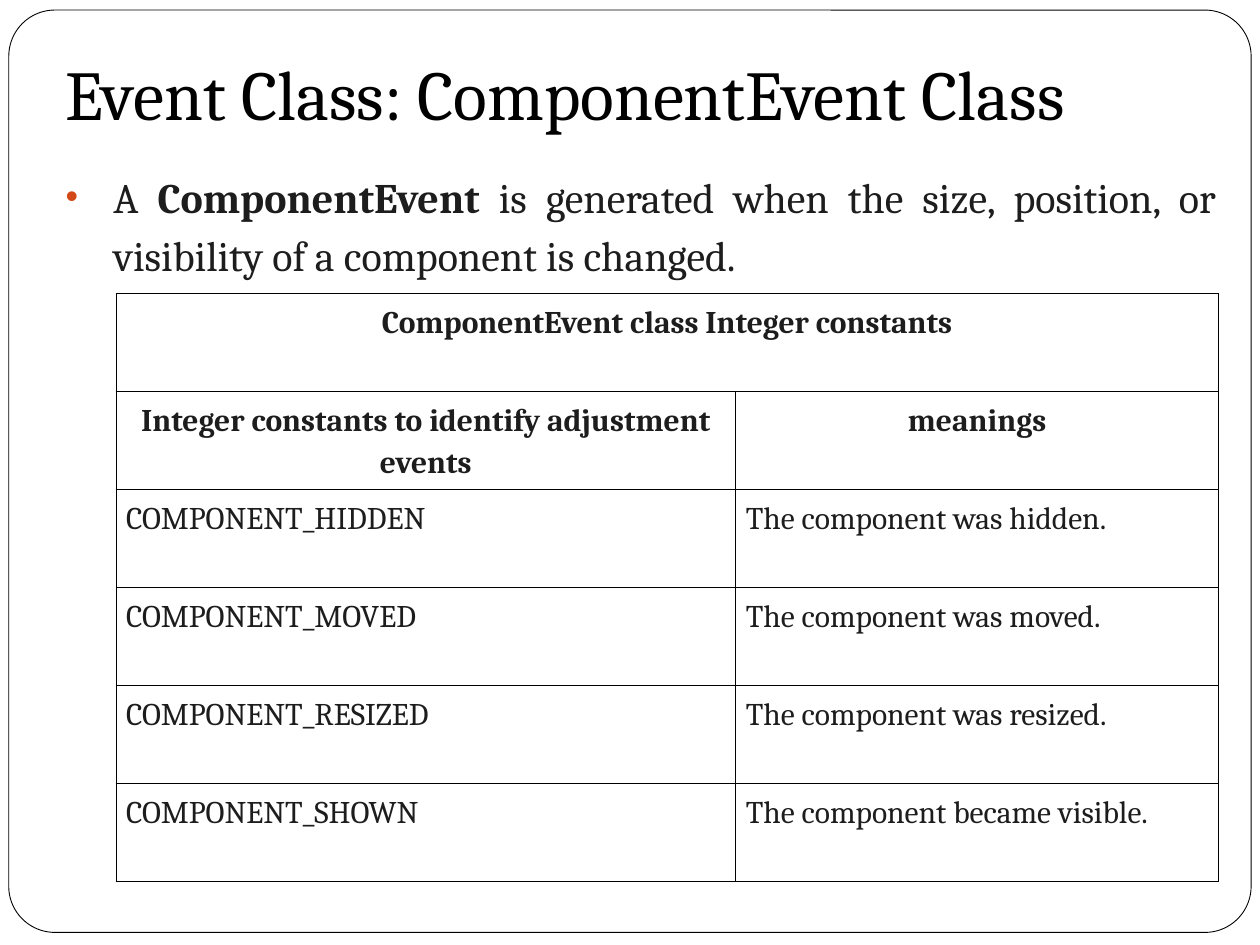
import pptx
import pptx.util
import pptx.dml.color
import pptx.enum.shapes
import pptx.enum.text
import pptx.oxml
import pptx.oxml.ns

Inches = pptx.util.Inches
Pt = pptx.util.Pt
Align = pptx.enum.text.PP_ALIGN
Anchor = pptx.enum.text.MSO_ANCHOR
RGB = pptx.dml.color.RGBColor.from_string
NS = pptx.oxml.ns.nsdecls("a")
COLORS = {"line": "000000", "title": "000000", "text": "1D1D1E",
          "bullet": "D34817", "paper": "FFFFFF"}


def write(frame, *runs, size=18, color="text", bold=(), align=Align.JUSTIFY,
          space=1.15, bullet=False):
    """Fill the first paragraph with runs; bold holds the indexes of bold runs."""
    para = frame.paragraphs[0]
    para.alignment = align
    para.line_spacing = space
    para.space_before = Pt(0)
    if bullet:
        props = para._p.get_or_add_pPr()
        props.set("marL", str(Inches(0.38)))
        props.set("indent", str(Inches(-0.38)))
        for xml in (f'<a:buClr {NS}><a:srgbClr val="{COLORS["bullet"]}"/></a:buClr>',
                    f'<a:buSzPct {NS} val="85000"/>',
                    f'<a:buFont {NS} typeface="Arial"/>',
                    f'<a:buChar {NS} char="•"/>'):
            props.append(pptx.oxml.parse_xml(xml))
    for i, text in enumerate(runs):
        run = para.add_run()
        run.text = text
        run.font.name = "Cambria"
        run.font.size = Pt(size)
        run.font.bold = i in bold
        run.font.color.rgb = RGB(COLORS[color])


deck = pptx.Presentation()
deck.slide_width = Inches(10)
deck.slide_height = Inches(7.5)
slide = deck.slides.add_slide(deck.slide_layouts[1])
title = slide.shapes.title
body = slide.placeholders[1]

# Rounded page border, behind everything else
border = slide.shapes.add_shape(
    pptx.enum.shapes.MSO_SHAPE.ROUNDED_RECTANGLE,
    Inches(0.07), Inches(0.08), Inches(9.86), Inches(7.32))
border.adjustments[0] = 0.05
border.shadow.inherit = False
border.fill.solid()
border.fill.fore_color.rgb = RGB(COLORS["paper"])
border.line.color.rgb = RGB(COLORS["line"])
border.line.width = Pt(0.5)
title.element.addprevious(border.element)

# Title and bullet
for shape, box, anchor in ((title, (0.42, 0.3, 9.25, 0.87), Anchor.BOTTOM),
                           (body, (0.42, 1.25, 9.33, 6), Anchor.TOP)):
    shape.left, shape.top, shape.width, shape.height = map(Inches, box)
    shape.text_frame.auto_size = pptx.enum.text.MSO_AUTO_SIZE.NONE
    shape.text_frame.word_wrap = True
    shape.text_frame.vertical_anchor = anchor
title.text_frame.margin_bottom = Inches(0.1)
write(title.text_frame, "Event Class: ComponentEvent Class",
      size=40, color="title", space=1.0)
write(body.text_frame, "A ", "ComponentEvent ",
      "is generated when the size, position, or visibility of a component is changed.",
      size=24, bold=(1,), bullet=True)

# Table of constants
rows = [
    ("ComponentEvent class Integer constants", ""),
    ("Integer constants to identify adjustment events", "meanings"),
    ("COMPONENT_HIDDEN", "The component was hidden."),
    ("COMPONENT_MOVED", "The component was moved."),
    ("COMPONENT_RESIZED", "The component was resized."),
    ("COMPONENT_SHOWN", "The component became visible."),
]
table = slide.shapes.add_table(len(rows), 2, Inches(0.92), Inches(2.33),
                               Inches(8.75), Inches(4.67)).table
table.first_row = False
table.horz_banding = False
for col, width in zip(table.columns, (4.92, 3.83)):
    col.width = Inches(width)
table.cell(0, 0).merge(table.cell(0, 1))
for r, row in enumerate(rows):
    table.rows[r].height = Inches(4.67 / len(rows))
    for c, text in enumerate(row):
        cell = table.cell(r, c)
        cell.margin_left = cell.margin_right = Inches(0.08)
        cell.margin_top = cell.margin_bottom = Inches(0.05)
        props = cell._tc.get_or_add_tcPr()
        for side in "LRTB":
            props.append(pptx.oxml.parse_xml(
                f'<a:ln{side} {NS} w="{Pt(0.45)}"><a:solidFill>'
                f'<a:srgbClr val="{COLORS["line"]}"/></a:solidFill></a:ln{side}>'))
        cell.fill.background()
        if text:
            head = r < 2
            write(cell.text_frame, text, bold=(0,) if head else (),
                  align=Align.CENTER if head else Align.JUSTIFY)

deck.save("out.pptx")
